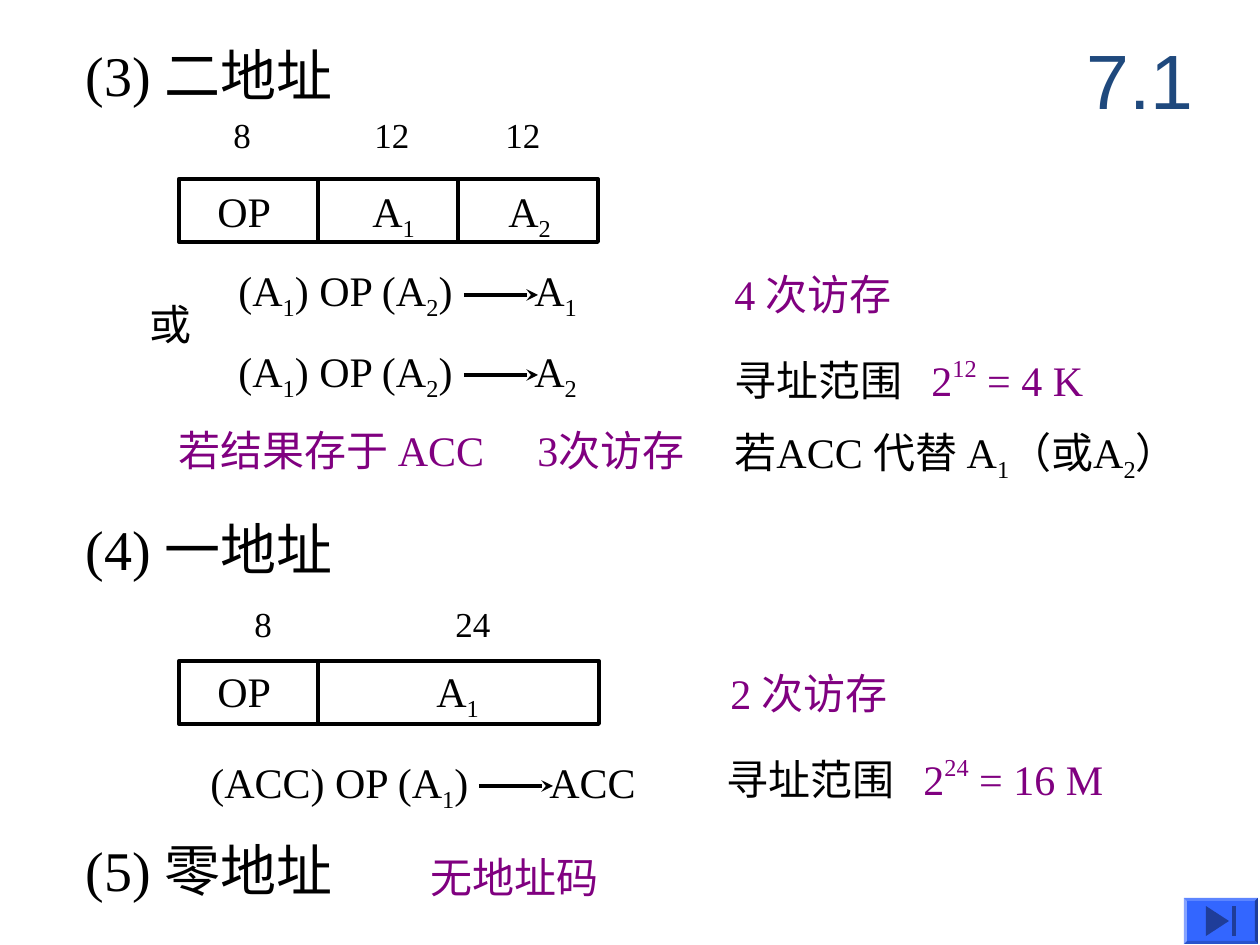
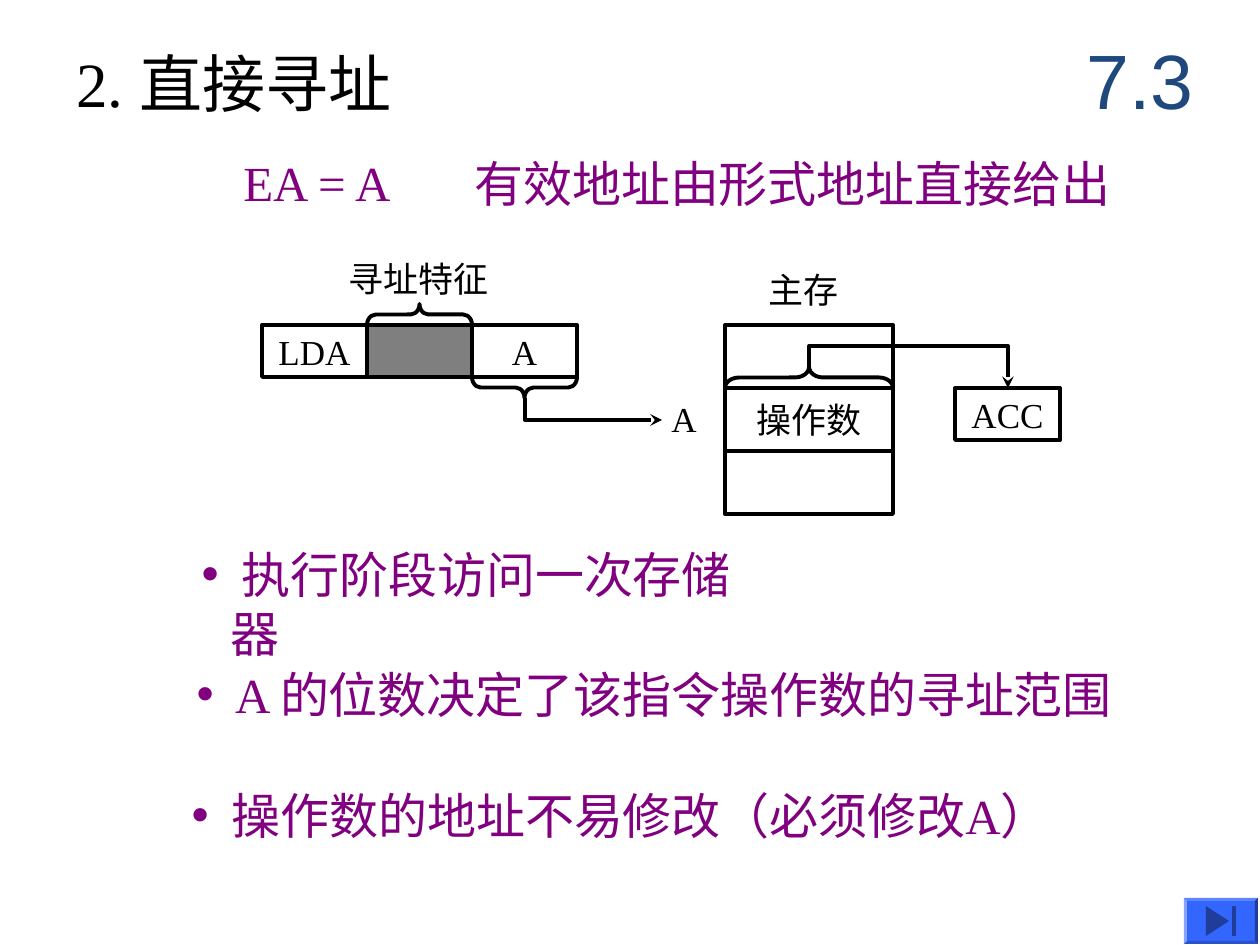
import pptx
import pptx.util
import pptx.dml.color
import pptx.enum.shapes
import pptx.enum.text
import pptx.oxml
import pptx.oxml.ns
from lxml import etree

PX = 914400 / 126
SERIF, SANS = "Times New Roman", "Arial"
COLORS = {
    "ink": "000000", "accent": "800080", "title": "1F497D",
    "button": "3366FF", "button_top": "5C85FF", "button_left": "85A3FF",
    "button_right": "1F3D99", "button_bottom": "2952CC",
}
MSO = pptx.enum.shapes.MSO_SHAPE
ALIGN = pptx.enum.text.PP_ALIGN
ANCHOR = pptx.enum.text.MSO_ANCHOR
AUTO = pptx.enum.text.MSO_AUTO_SIZE

# A run is (text, colour, baseline in thousandths of a percent).
SUB, SUP = -25000, 45000


def ink(text, baseline=0):
    return text, "ink", baseline


def accent(text, baseline=0):
    return text, "accent", baseline


def two_address(target):
    return [ink("(A"), ink("1", SUB), ink(") OP (A"), ink("2", SUB),
            ink(")\tA"), ink(target, SUB)]


def address_range(power, size):
    return [ink("寻址范围\t"), accent("2"), accent(power, SUP), accent(f" = {size}")]


# Labels: box (left, top, width, height), point size, runs, tab stops
FORMAT_LABELS = [
    ((73, 34, 368, 81), 32, [ink("(3) 二地址")], []),
    ((221, 107, 340, 55), 20, [ink("8\t12\t12")], [141, 272]),
    ((205, 179, 90, 63), 24, [ink("OP")], []),
    ((360, 179, 80, 71), 24, [ink("A"), ink("1", SUB)], []),
    ((496, 179, 80, 71), 24, [ink("A"), ink("2", SUB)], []),
    ((226, 258, 390, 71), 24, two_address("1"), [296]),
    ((226, 339, 390, 71), 24, two_address("2"), [296]),
    ((137, 292, 70, 63), 24, [ink("或")], []),
    ((722, 262, 381, 63), 24, [accent("4 次访存")], []),
    ((722, 347, 432, 64), 24, address_range("12", "4 K"), [197]),
    ((722, 420, 495, 127), 24,
     [ink("若ACC 代替 A"), ink("1", SUB), ink("（或A"), ink("2", SUB), ink("）")], []),
    ((166, 418, 383, 63), 24, [accent("若结果存于 ACC")], []),
    ((525, 418, 252, 63), 24, [accent("3次访存")], []),
    ((73, 508, 399, 81), 32, [ink("(4) 一地址")], []),
    ((242, 596, 280, 55), 20, [ink("8\t24")], [201]),
    ((205, 659, 90, 63), 24, [ink("OP")], []),
    ((424, 659, 80, 71), 24, [ink("A"), ink("1", SUB)], []),
    ((198, 750, 475, 71), 24,
     [ink("(ACC) OP (A"), ink("1", SUB), ink(")\tACC")], [339]),
    ((718, 661, 210, 63), 24, [accent("2 次访存")], []),
    ((714, 746, 420, 64), 24, address_range("24", "16 M"), [197]),
    ((73, 829, 357, 81), 32, [ink("(5) 零地址")], []),
    ((418, 845, 210, 63), 24, [accent("无地址码")], []),
]
FORMAT_FIELDS = [(179, [139, 140, 140]), (661, [139, 281])]  # top, widths
RESULT_ARROWS = [(464, 295), (464, 375), (479, 786)]  # left, y
RESULT_ARROW_LENGTH = 74

DIRECT_LABELS = [
    ((64, 38, 390, 88), 36, [ink("2. 直接寻址")], []),
    ((231, 146, 200, 72), 28, [accent("EA = A")], []),
    ((462, 147, 725, 72), 28, [accent("有效地址由形式地址直接给出")], []),
    ((756, 262, 110, 55), 20, [ink("主存")], []),
    ((336, 251, 185, 55), 20, [ink("寻址特征")], []),
    ((659, 391, 60, 55), 20, [ink("A")], []),
]
INSTRUCTION = ["LDA", "", "A"]
MEMORY = ["", "操作数", ""]
# Braces: visible left, top, length; rotation; corner curvature
BRACES = [(367, 304, 105, 90, 0.42), (472, 377, 105, 270, 0.42),
          (725, 367, 168, 90, 0.67)]
BRACE_DEPTH = 21
DATA_PATHS = [
    [(525, 398), (525, 420), (662, 420)],
    [(809, 367), (809, 346), (1008, 346), (1008, 388)],
]
POINTS = [
    ((189, 538, 591, 130), " 执行阶段访问一次存储器"),
    ((184, 658, 945, 130), " A 的位数决定了该指令操作数的寻址范围"),
    ((179, 779, 890, 130), " 操作数的地址不易修改（必须修改A）"),
]
POINT_INDENT = 29

NEXT_BUTTON = [
    ("button", [(1184, 898), (1258, 898), (1258, 944), (1184, 944)]),
    ("button_top", [(1184, 898), (1258, 898), (1255, 901), (1187, 901)]),
    ("button_right", [(1258, 898), (1258, 944), (1255, 941), (1255, 901)]),
    ("button_bottom", [(1258, 944), (1184, 944), (1187, 941), (1255, 941)]),
    ("button_left", [(1184, 944), (1184, 898), (1187, 901), (1187, 941)]),
    ("button_right", [(1229, 921), (1206, 936), (1206, 906)]),
    ("button_right", [(1232, 906), (1232, 936), (1236, 936), (1236, 906)]),
]


def emu(px):
    return pptx.util.Emu(round(px * PX))


def rgb(name):
    return pptx.dml.color.RGBColor.from_string(COLORS[name])


def add_child(parent, tag, **attributes):
    child = etree.SubElement(parent, pptx.oxml.ns.qn(tag))
    for name, value in attributes.items():
        child.set(name, str(value))
    return child


def write(shape, runs, size, font=SERIF, align=ALIGN.LEFT, anchor=ANCHOR.TOP,
          tabs=(), hanging=0):
    """Fill the shape's one paragraph; a hanging indent makes it a bullet."""
    frame = shape.text_frame
    frame.word_wrap = True
    frame.auto_size = AUTO.NONE
    frame.vertical_anchor = anchor
    paragraph = frame.paragraphs[0]
    properties = paragraph._p.get_or_add_pPr()
    if hanging:
        properties.set("marL", str(emu(hanging)))
        properties.set("indent", str(-emu(hanging)))
        add_child(properties, "a:buChar", char="•")
    if tabs:
        stops = add_child(properties, "a:tabLst")
        for stop in tabs:
            add_child(stops, "a:tab", pos=emu(stop), algn="l")
    paragraph.alignment = align
    paragraph.space_before = pptx.util.Pt(0)
    for text, color, baseline in runs:
        run = paragraph.add_run()
        run.text = text
        run.font.name = font
        run.font.size = pptx.util.Pt(size)
        run.font.bold = False
        run.font.color.rgb = rgb(color)
        if baseline:
            run._r.get_or_add_rPr().set("baseline", str(baseline))


def place(shape, box):
    shape.left, shape.top, shape.width, shape.height = map(emu, box)


def add_labels(slide, labels):
    for box, size, runs, tabs in labels:
        write(slide.shapes.add_textbox(*map(emu, box)), runs, size, tabs=tabs)


def outline(shape):
    shape.line.color.rgb = rgb("ink")
    shape.line.width = pptx.util.Pt(2.25)


def add_outlined(slide, preset, box):
    shape = slide.shapes.add_shape(preset, *map(emu, box))
    shape.shadow.inherit = False
    shape.fill.background()
    outline(shape)
    return shape


def add_cell(slide, box, text=""):
    cell = add_outlined(slide, MSO.RECTANGLE, box)
    if text:
        write(cell, [ink(text)], 20, align=ALIGN.CENTER, anchor=ANCHOR.MIDDLE)
    return cell


def add_outline_shape(slide, points, close):
    start, *rest = [(emu(x), emu(y)) for x, y in points]
    builder = slide.shapes.build_freeform(*start)
    builder.add_line_segments(rest, close=close)
    shape = builder.convert_to_shape()
    shape.shadow.inherit = False
    return shape


def add_arrowhead(line):
    outline(line)
    add_child(line.line._get_or_add_ln(), "a:tailEnd", type="stealth")


def add_brace(slide, left, top, length, rotation, curvature):
    shift = (length - BRACE_DEPTH) / 2
    brace = add_outlined(slide, MSO.LEFT_BRACE,
                         (left + shift, top - shift, BRACE_DEPTH, length))
    brace.rotation = rotation
    brace.adjustments[0] = curvature


def add_slide(deck, layout, section):
    slide = deck.slides.add_slide(deck.slide_layouts[layout])
    place(slide.shapes.title, (1061, 21, 158, 116))
    write(slide.shapes.title, [(section, "title", 0)], 44, SANS,
          ALIGN.CENTER, ANCHOR.MIDDLE)
    for color, points in NEXT_BUTTON:
        face = add_outline_shape(slide, points, close=True)
        face.fill.solid()
        face.fill.fore_color.rgb = rgb(color)
        face.line.fill.background()
    return slide


def build_address_formats(deck):
    slide = add_slide(deck, 5, "7.1")
    for top, widths in FORMAT_FIELDS:
        left = 179
        for width in widths:
            add_cell(slide, (left, top, width, 63))
            left += width
    add_labels(slide, FORMAT_LABELS)
    for left, y in RESULT_ARROWS:
        arrow = slide.shapes.add_connector(
            pptx.enum.shapes.MSO_CONNECTOR.STRAIGHT,
            emu(left), emu(y), emu(left + RESULT_ARROW_LENGTH), emu(y))
        add_arrowhead(arrow)
        add_child(arrow._element.spPr, "a:effectLst")


def build_direct_addressing(deck):
    slide = add_slide(deck, 4, "7.3")
    add_labels(slide, DIRECT_LABELS)
    for row, text in enumerate(MEMORY):
        add_cell(slide, (725, 325 + 63 * row, 168, 63), text)
    fields = [add_cell(slide, (262 + 105 * column, 325, 105, 52), text)
              for column, text in enumerate(INSTRUCTION)]
    mode_field = fields[1]
    mode_field.fill.solid()
    mode_field.fill.fore_color.rgb = rgb("ink")
    shade = mode_field._element.spPr.find(".//" + pptx.oxml.ns.qn("a:srgbClr"))
    add_child(shade, "a:alpha", val=50000)
    add_cell(slide, (955, 388, 105, 52), "ACC")
    for brace in BRACES:
        add_brace(slide, *brace)
    for points in DATA_PATHS:
        data_path = add_outline_shape(slide, points, close=False)
        data_path.fill.background()
        add_arrowhead(data_path)
    bodies = [holder for holder in slide.placeholders
              if holder.placeholder_format.idx in (1, 2, 3, 4)]
    for body, (box, text) in zip(bodies, POINTS):
        place(body, box)
        write(body, [accent(text)], 28, hanging=POINT_INDENT)
    for unused in bodies[len(POINTS):]:
        unused._element.getparent().remove(unused._element)


def main():
    deck = pptx.Presentation()
    deck.slide_width, deck.slide_height = emu(1260), emu(945)
    build_address_formats(deck)
    build_direct_addressing(deck)
    deck.save("out.pptx")


if __name__ == "__main__":
    main()
